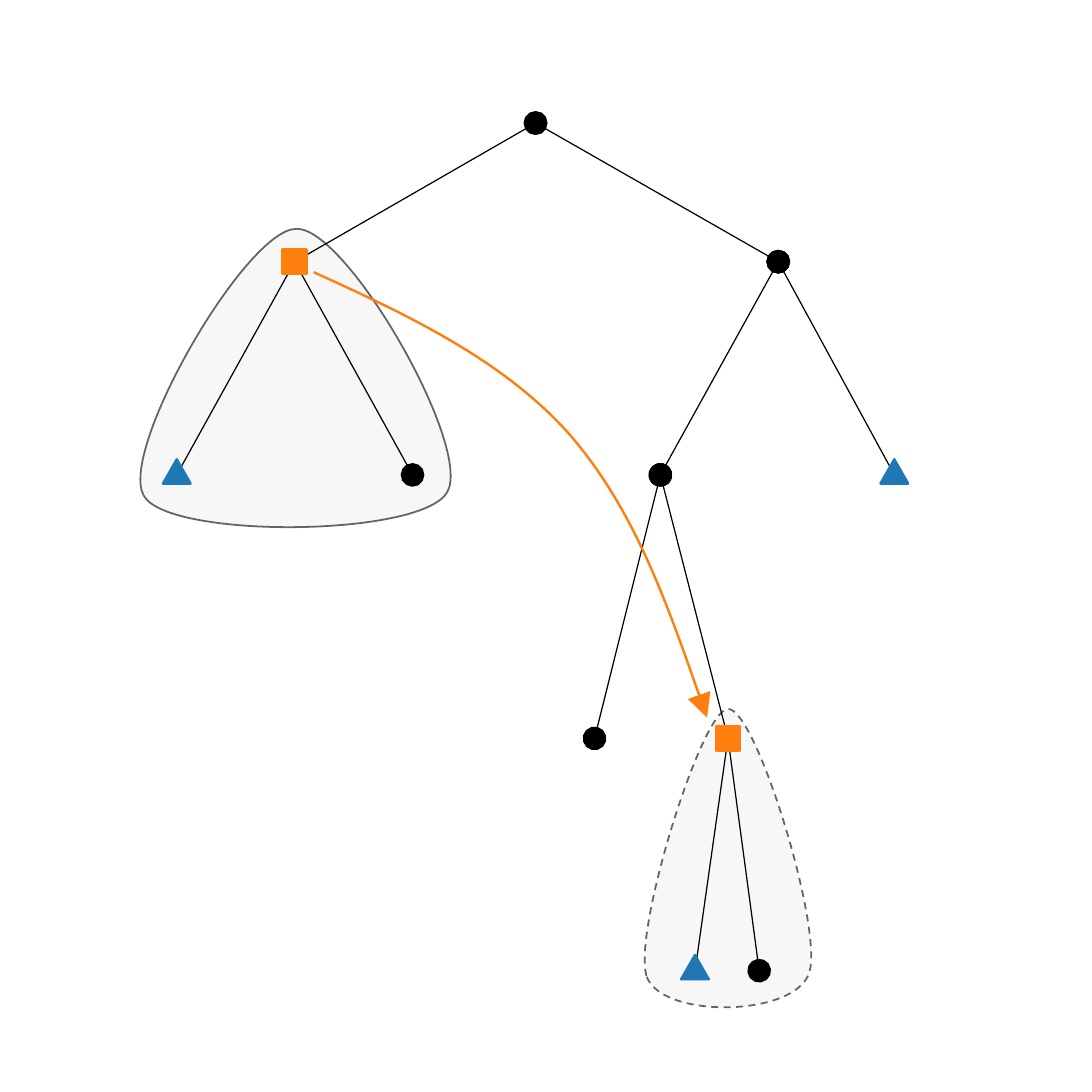
from lxml.etree import SubElement
from pptx import Presentation
from pptx.dml.color import RGBColor
from pptx.enum.dml import MSO_LINE
from pptx.enum.shapes import MSO_CONNECTOR, MSO_SHAPE
from pptx.oxml.ns import qn
from pptx.util import Inches, Pt

COLORS = {
    "edge": "000000",
    "area": "F2F2F2",
    "moved": "FF7F0E",
    "leaf": "1F77B4",
}

# Tree nodes: kind and centre in inches
NODES = {
    "root": ("dot", 3.09, 0.71),
    "left": ("square", 1.7, 1.51),
    "right": ("dot", 4.49, 1.51),
    "left leaf": ("triangle", 1.02, 2.74),
    "left dot": ("dot", 2.38, 2.74),
    "inner": ("dot", 3.81, 2.74),
    "right leaf": ("triangle", 5.16, 2.74),
    "inner dot": ("dot", 3.43, 4.26),
    "target": ("square", 4.2, 4.26),
    "target leaf": ("triangle", 4.01, 5.6),
    "target dot": ("dot", 4.38, 5.6),
}

# Child and parent of each edge
EDGES = [
    ("right", "root"), ("left", "root"),
    ("inner", "right"), ("inner dot", "inner"),
    ("right leaf", "right"), ("target", "inner"),
    ("left leaf", "left"), ("left dot", "left"),
    ("target leaf", "target"), ("target dot", "target"),
]

# Marker shape, width, height and height of its tip above the node centre
MARKERS = {
    "square": (MSO_SHAPE.RECTANGLE, 0.14, 0.14, 0.07, "moved"),
    "triangle": (MSO_SHAPE.ISOSCELES_TRIANGLE, 0.16, 0.14, 0.09, "leaf"),
}

# Curves: bounds, start point and Bezier segments
TARGET_AREA = ((3.72, 4.09, 0.96, 1.72), (3.73, 5.63), [
    [(3.65, 5.37), (4.05, 4.09), (4.2, 4.09)],
    [(4.36, 4.08), (4.75, 5.35), (4.67, 5.61)],
    [(4.59, 5.87), (3.81, 5.88), (3.73, 5.63)],
])
SOURCE_AREA = ((0.81, 1.32, 1.79, 1.72), (0.83, 2.86), [
    [(0.68, 2.6), (1.42, 1.32), (1.71, 1.32)],
    [(2, 1.31), (2.73, 2.58), (2.58, 2.84)],
    [(2.43, 3.1), (0.97, 3.11), (0.83, 2.86)],
])
MOVE_CURVE = ((1.81, 1.57, 2.26, 2.58), (1.81, 1.57), [
    [(2.36, 1.82), (2.91, 2.08), (3.29, 2.51)],
    [(3.66, 2.94), (3.87, 3.54), (4.08, 4.14)],
])


def color(name):
    return RGBColor.from_string(COLORS[name])


def style_line(shape, name, width):
    shape.line.color.rgb = color(name)
    shape.line.width = Pt(width)


def add_line_end(shape, end, kind, size):
    outline = shape.element.spPr.find(qn("a:ln"))
    SubElement(outline, qn(f"a:{end}"), type=kind, w=size, len=size)


def add_curve(page, bounds, start, segments, closed):
    left, top, width, height = (Inches(value) for value in bounds)
    builder = page.shapes.build_freeform(left, top)
    builder.add_line_segments([(left + width, top + height)], close=False)
    shape = builder.convert_to_shape()
    shape.shadow.inherit = False

    # Bezier segments inside the bounds
    outline = shape.element.find(".//" + qn("a:path"))
    for child in list(outline):
        outline.remove(child)

    def add_step(tag, points):
        step = SubElement(outline, qn(tag))
        for x, y in points:
            SubElement(step, qn("a:pt"), x=str(Inches(x) - left),
                       y=str(Inches(y) - top))

    add_step("a:moveTo", [start])
    for segment in segments:
        add_step("a:cubicBezTo", segment)
    if closed:
        add_step("a:close", [])
    return shape


def add_area(page, curve, dash):
    area = add_curve(page, *curve, closed=True)
    area.fill.solid()
    area.fill.fore_color.rgb = color("area")
    style_line(area, "edge", 0.75)
    area.line.dash_style = dash
    for tone in area.element.spPr.iter(qn("a:srgbClr")):
        SubElement(tone, qn("a:alpha"), val="60000")


def add_edge(page, child, parent):
    ends = [NODES[child], NODES[parent]]
    places = [Inches(value) for _, x, y in ends for value in (x, y)]
    edge = page.shapes.add_connector(MSO_CONNECTOR.STRAIGHT, *places)
    style_line(edge, "edge", 0.5)
    for end, (kind, _, _) in zip(("headEnd", "tailEnd"), ends):
        add_line_end(edge, end, "oval", "lg" if kind == "dot" else "sm")
    SubElement(edge.element.spPr, qn("a:effectLst"))


def add_move_arrow(page):
    arrow = add_curve(page, *MOVE_CURVE, closed=False)
    arrow.fill.background()
    style_line(arrow, "moved", 1)
    add_line_end(arrow, "tailEnd", "triangle", "lg")


def add_marker(page, kind, x, y):
    preset, width, height, rise, name = MARKERS[kind]
    marker = page.shapes.add_shape(preset, Inches(x - width / 2), Inches(y - rise),
                                   Inches(width), Inches(height))
    marker.shadow.inherit = False
    marker.fill.solid()
    marker.fill.fore_color.rgb = color(name)
    style_line(marker, name, 1)


def main():
    deck = Presentation()
    deck.slide_width = deck.slide_height = Inches(6.3)
    page = deck.slides.add_slide(deck.slide_layouts[6])

    # Subtree areas
    add_area(page, TARGET_AREA, MSO_LINE.DASH)
    add_area(page, SOURCE_AREA, MSO_LINE.SOLID)

    # Tree edges with round nodes at their ends
    for child, parent in EDGES:
        add_edge(page, child, parent)

    # Move from source to target
    add_move_arrow(page)

    # Square and triangular nodes
    for kind, x, y in NODES.values():
        if kind in MARKERS:
            add_marker(page, kind, x, y)

    deck.save("out.pptx")


if __name__ == "__main__":
    main()
